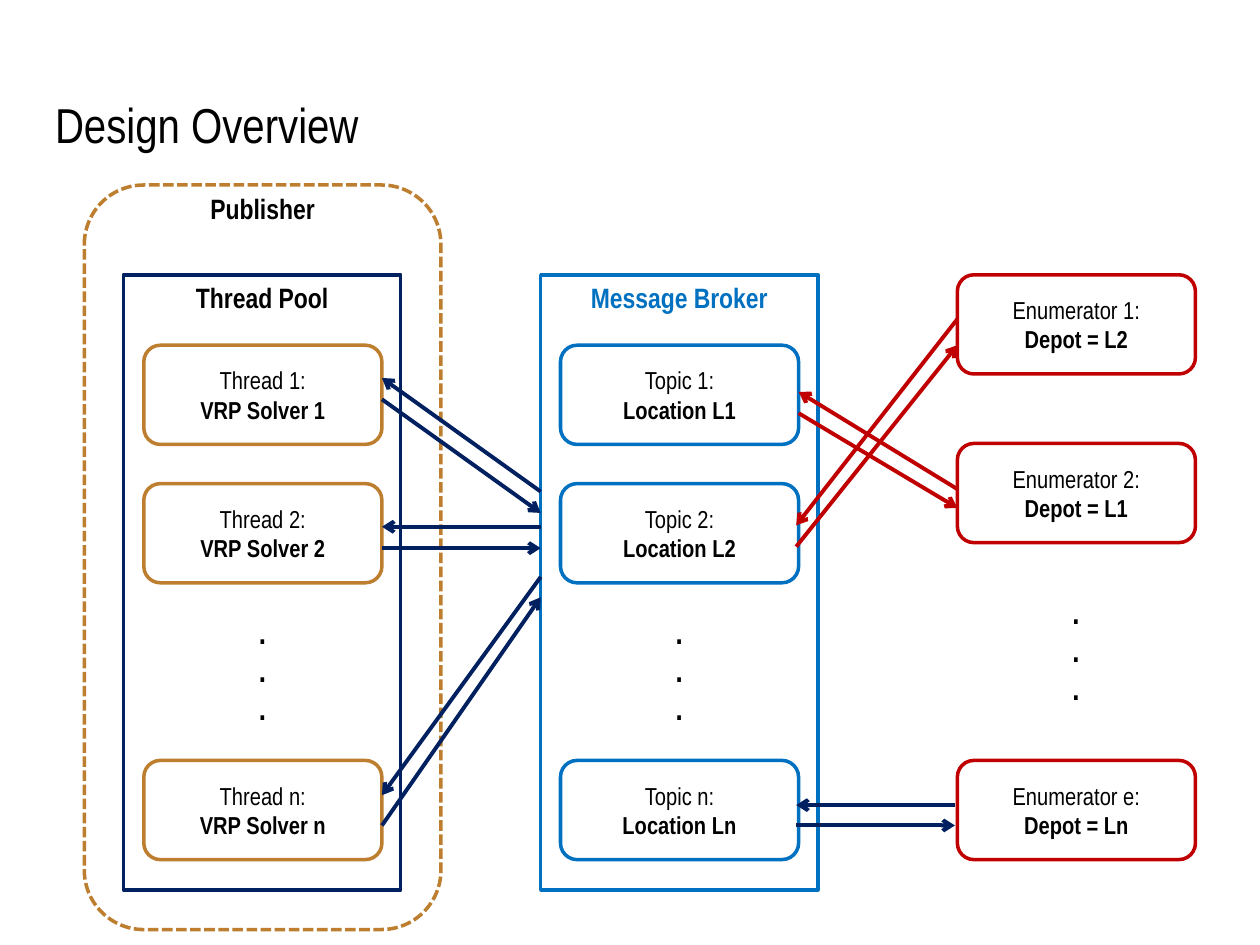
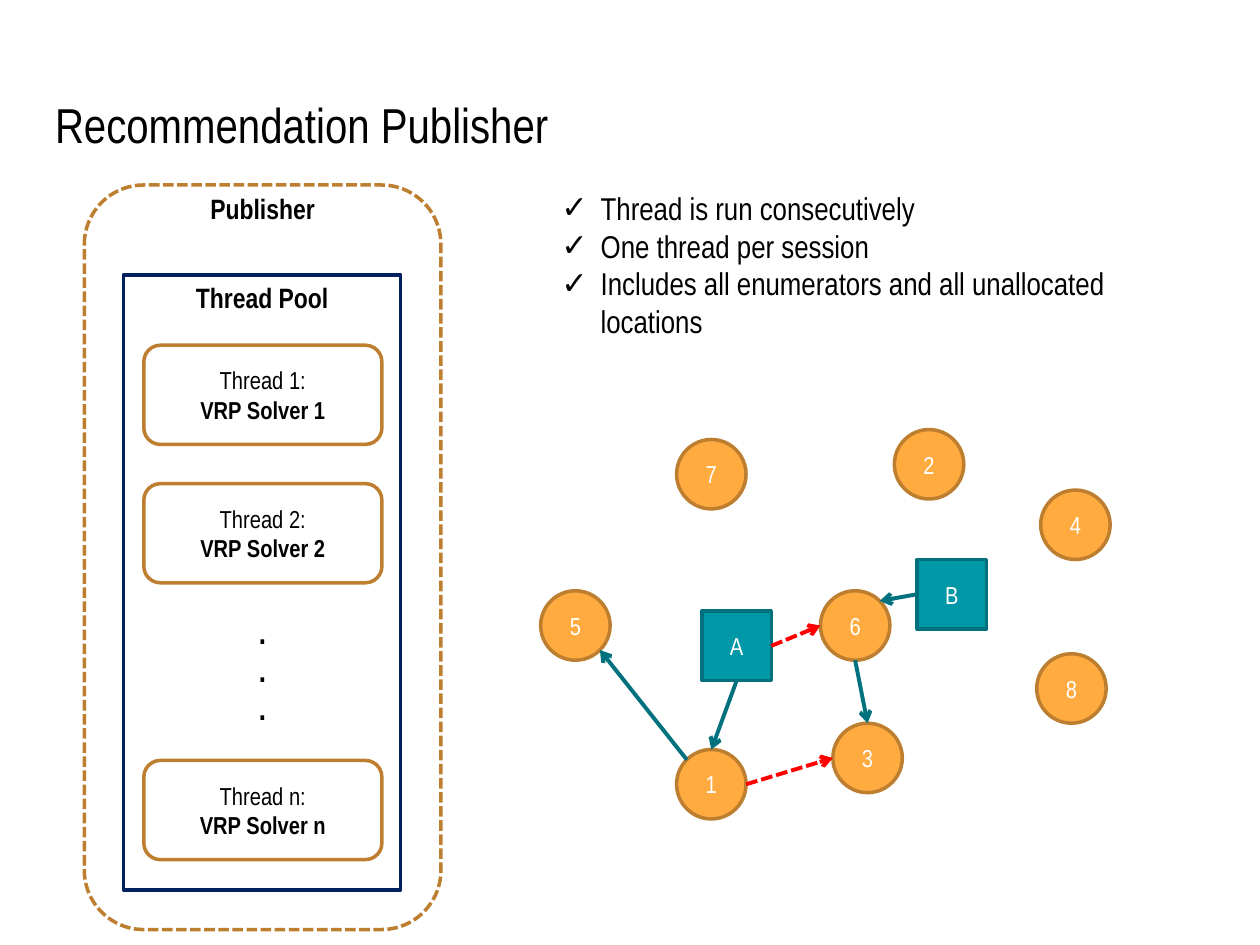
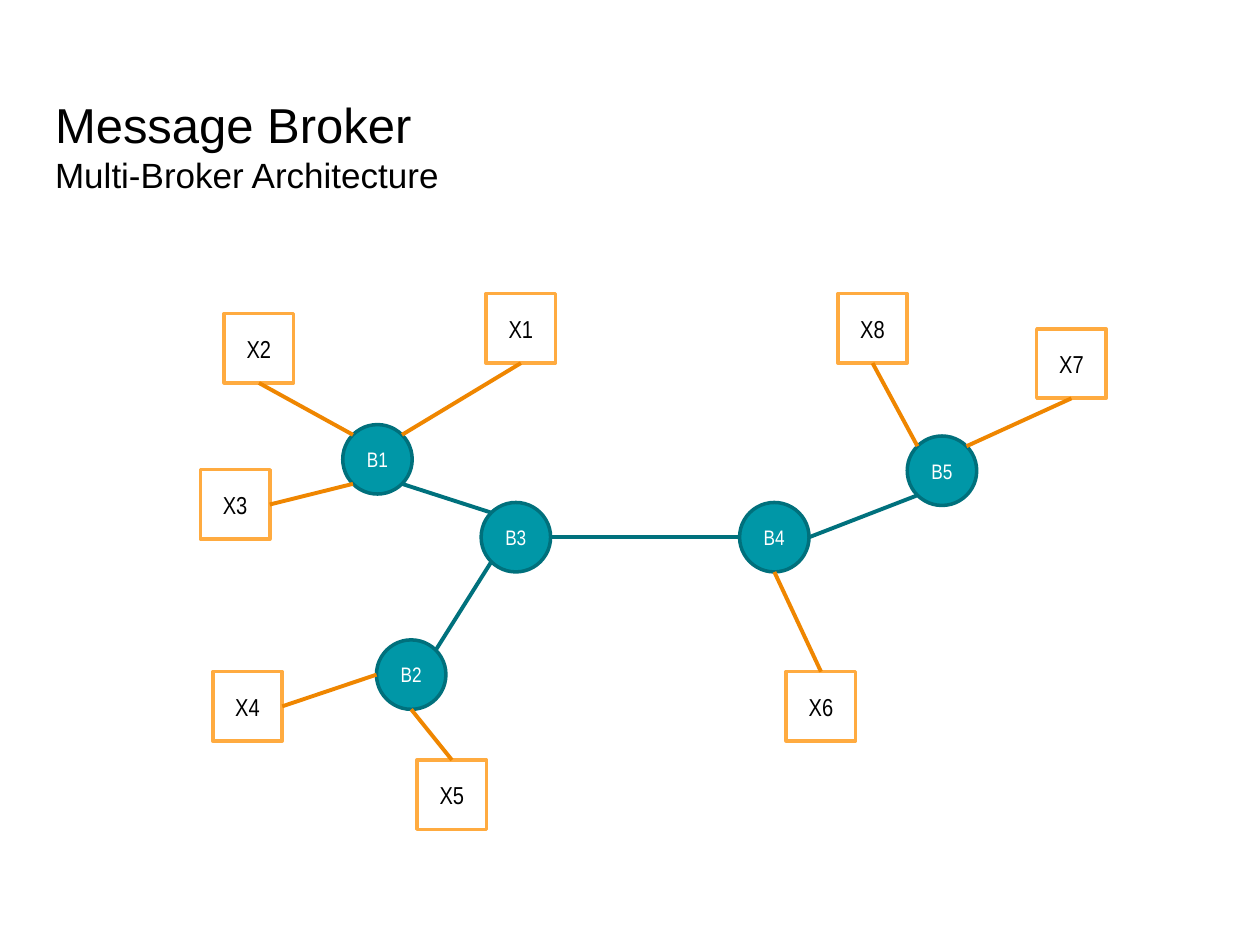
import copy
import math
from dataclasses import dataclass

import lxml.etree
import pptx
import pptx.dml.color
import pptx.enum.dml
import pptx.enum.shapes
import pptx.enum.text
import pptx.oxml.ns
import pptx.slide
import pptx.util

Cm = pptx.util.Cm
Color = pptx.dml.color.RGBColor
Shape = pptx.enum.shapes.MSO_SHAPE
Align = pptx.enum.text.PP_ALIGN
qn = pptx.oxml.ns.qn

BLACK = Color(0x00, 0x00, 0x00)
WHITE = Color(0xFF, 0xFF, 0xFF)
NAVY = Color(0x00, 0x20, 0x60)
BLUE = Color(0x00, 0x70, 0xC0)
CRIMSON = Color(0xC0, 0x00, 0x00)
RED = Color(0xFF, 0x00, 0x00)
BRONZE = Color(0xBD, 0x7F, 0x2F)
AMBER = Color(0xFF, 0xAB, 0x40)
ORANGE = Color(0xEF, 0x86, 0x00)
TEAL = Color(0x00, 0x97, 0xA7)
DARK_TEAL = Color(0x00, 0x70, 0x7C)
LINK_TEAL = Color(0x00, 0x71, 0x7D)

NARROW = "Arial Narrow"
WIDE = "Arial"
FRAME_TOP, FRAME_WIDTH, FRAME_HEIGHT = 5.54, 5.59, 12.4
BOX_WIDTH, BOX_HEIGHT = 4.8, 2.0
BOX_TOP, BOX_PITCH = 6.96, 2.79
COLUMN_TOPS = [BOX_TOP + BOX_PITCH * row for row in (0, 1, 3)]
DOTS_WIDTH, DOTS_HEIGHT = 0.66, 2.57
NODE_SIZE = 1.4
DIAGONAL = math.sqrt(0.5)
SIDES = {
    "top": (0, -1),
    "bottom": (0, 1),
    "left": (-1, 0),
    "right": (1, 0),
    "top left": (-DIAGONAL, -DIAGONAL),
    "top right": (DIAGONAL, -DIAGONAL),
    "bottom left": (-DIAGONAL, DIAGONAL),
    "bottom right": (DIAGONAL, DIAGONAL),
}


@dataclass(frozen=True)
class Area:
    left: float
    top: float
    width: float
    height: float

    def lengths(self) -> list[pptx.util.Length]:
        return [Cm(value) for value in (self.left, self.top, self.width, self.height)]


@dataclass(frozen=True)
class Column:
    left: float
    color: Color
    boxes: list[tuple[str, str]]
    tops: list[float]
    dots_top: float


@dataclass(frozen=True)
class Container:
    area: Area
    color: Color
    heading: str
    heading_color: Color
    heading_width: float
    geometry: Shape = Shape.RECTANGLE
    dashed: bool = False


@dataclass(frozen=True)
class Exchange:
    left: float
    right: float
    reply: tuple[float, float]
    request: tuple[float, float]
    color: Color


@dataclass(frozen=True)
class NodeStyle:
    geometry: Shape
    fill: Color
    line: Color
    text: Color
    size: int


@dataclass(frozen=True)
class Node:
    name: str
    left: float
    top: float
    style: NodeStyle

    def point(self, side: str) -> tuple[float, float]:
        across, down = SIDES[side]
        radius = NODE_SIZE / 2
        return self.left + radius * (1 + across), self.top + radius * (1 + down)


@dataclass(frozen=True)
class Link:
    start: str
    start_side: str
    end: str
    end_side: str
    color: Color = LINK_TEAL
    dashed: bool = False


STOP = NodeStyle(Shape.OVAL, AMBER, BRONZE, WHITE, 14)
DEPOT = NodeStyle(Shape.RECTANGLE, TEAL, DARK_TEAL, WHITE, 14)
BROKER = NodeStyle(Shape.OVAL, TEAL, DARK_TEAL, WHITE, 12)
CLIENT = NodeStyle(Shape.RECTANGLE, WHITE, AMBER, BLACK, 14)

PUBLISHER = Container(Area(1.7, 3.73, 7.19, 15.01), BRONZE, "Publisher", BLACK, 2.64,
                      Shape.ROUNDED_RECTANGLE, True)
THREAD_POOL = Container(Area(2.49, FRAME_TOP, FRAME_WIDTH, FRAME_HEIGHT), NAVY,
                        "Thread Pool", BLACK, 3.2)
MESSAGE_BROKER = Container(Area(10.9, FRAME_TOP, FRAME_WIDTH, FRAME_HEIGHT), BLUE,
                           "Message Broker", BLUE, 4.11)

THREADS = Column(2.9, BRONZE, [(f"Thread {key}:", f"VRP Solver {key}") for key in "12n"],
                 COLUMN_TOPS, 12.24)
TOPICS = Column(11.3, BLUE, [(f"Topic {key}:", f"Location L{key}") for key in "12n"],
                COLUMN_TOPS, 12.24)
ENUMERATORS = Column(19.3, CRIMSON,
                     [(f"Enumerator {key}:", f"Depot = L{depot}")
                      for key, depot in zip("12e", "21n")],
                     [FRAME_TOP, 8.94, COLUMN_TOPS[-1]], 11.84)

EXCHANGES = [
    Exchange(7.7, 10.9, (7.62, 9.91), (8.05, 10.34), NAVY),
    Exchange(7.7, 10.9, (10.62, 10.62), (11.05, 11.05), NAVY),
    Exchange(7.7, 10.9, (16.03, 11.63), (16.64, 12.04), NAVY),
    Exchange(16.1, 19.3, (7.9, 9.86), (8.33, 10.24), CRIMSON),
    Exchange(16.05, 19.3, (10.59, 6.43), (11.02, 6.96), CRIMSON),
    Exchange(16.05, 19.25, (16.23, 16.23), (16.64, 16.64), NAVY),
]

FEATURES = [
    "Thread is run consecutively",
    "One thread per session",
    "Includes all enumerators and all unallocated locations",
]

ROUTE_NODES = [
    Node("A", 14.15, 12.32, DEPOT),
    Node("6", 16.54, 11.91, STOP),
    Node("B", 18.49, 11.28, DEPOT),
    Node("2", 18.03, 8.66, STOP),
    Node("3", 16.79, 14.58, STOP),
    Node("8", 20.9, 13.18, STOP),
    Node("4", 20.98, 9.88, STOP),
    Node("1", 13.64, 15.11, STOP),
    Node("5", 10.9, 11.91, STOP),
    Node("7", 13.64, 8.86, STOP),
]
ROUTE_LINKS = [
    Link("B", "left", "6", "top right"),
    Link("A", "right", "6", "left", RED, True),
    Link("A", "bottom", "1", "top"),
    Link("6", "bottom", "3", "top"),
    Link("1", "right", "3", "left", RED, True),
    Link("1", "top left", "5", "bottom right"),
]

NETWORK_NODES = [
    Node("B2", 7.59, 12.9, BROKER),
    Node("B1", 6.91, 8.56, BROKER),
    Node("B5", 18.29, 8.79, BROKER),
    Node("B4", 14.91, 10.13, BROKER),
    Node("B3", 9.7, 10.13, BROKER),
    Node("X8", 16.89, 5.92, CLIENT),
    Node("X7", 20.9, 6.63, CLIENT),
    Node("X6", 15.85, 13.54, CLIENT),
    Node("X5", 8.41, 15.32, CLIENT),
    Node("X4", 4.29, 13.54, CLIENT),
    Node("X3", 4.04, 9.47, CLIENT),
    Node("X2", 4.52, 6.32, CLIENT),
    Node("X1", 9.8, 5.92, CLIENT),
]
NETWORK_LINKS = [
    Link("B4", "left", "B3", "right"),
    Link("B4", "right", "B5", "bottom left"),
    Link("B3", "top left", "B1", "bottom right"),
    Link("B2", "top right", "B3", "bottom left"),
    Link("X6", "top", "B4", "bottom", ORANGE),
    Link("X7", "bottom", "B5", "top right", ORANGE),
    Link("X8", "bottom", "B5", "top left", ORANGE),
    Link("X1", "bottom", "B1", "top right", ORANGE),
    Link("X2", "bottom", "B1", "top left", ORANGE),
    Link("X3", "right", "B1", "bottom left", ORANGE),
    Link("X4", "right", "B2", "left", ORANGE),
    Link("X5", "top", "B2", "bottom", ORANGE),
]


def format_span(span, size: float, color: Color, bold: bool = False, font: str = NARROW) -> None:
    span.font.name = font
    span.font.size = pptx.util.Pt(size)
    span.font.bold = bold
    span.font.color.rgb = color


def write(frame, text: str, size: float, color: Color, bold: bool = False,
          align: Align = Align.CENTER) -> None:
    frame.text = text
    for para in frame.paragraphs:
        para.alignment = align
        for span in para.runs:
            format_span(span, size, color, bold)


def format_line(line, color: Color, width: float, dashed: bool = False) -> None:
    line.color.rgb = color
    line.width = pptx.util.Pt(width)
    if dashed:
        line.dash_style = pptx.enum.dml.MSO_LINE.SQUARE_DOT


def add_title(page: pptx.slide.Slide, lines: list[str], height: float = 2.11,
              font: str = NARROW) -> None:
    title = page.shapes.title
    title.left, title.top, title.width, title.height = Area(0.86, 1.65, 23.67, height).lengths()
    frame = title.text_frame
    frame.text = "\v".join(lines)
    frame.word_wrap = True
    frame.auto_size = pptx.enum.text.MSO_AUTO_SIZE.NONE
    frame.vertical_anchor = pptx.enum.text.MSO_ANCHOR.TOP
    frame.margin_left = frame.margin_right = Cm(0.25)
    frame.margin_top = frame.margin_bottom = Cm(0.25)
    para = frame.paragraphs[0]
    para.alignment = Align.LEFT
    for span, size in zip(para.runs, (28, 20)):
        format_span(span, size, BLACK, font=font)
    for line_break in para._p.findall(qn("a:br")):
        line_break.append(copy.deepcopy(para.runs[0]._r.rPr))


def add_box(page: pptx.slide.Slide, geometry: Shape, area: Area, line: Color,
            fill: Color | None = None, dashed: bool = False):
    box = page.shapes.add_shape(geometry, *area.lengths())
    box.shadow.inherit = False
    if fill is None:
        box.fill.background()
    else:
        box.fill.solid()
        box.fill.fore_color.rgb = fill
    format_line(box.line, line, 2, dashed)
    box.text_frame.vertical_anchor = pptx.enum.text.MSO_ANCHOR.MIDDLE
    return box


def add_label(page: pptx.slide.Slide, area: Area, text: str, size: float, color: Color,
              bold: bool = True, align: Align = Align.CENTER, wrap: bool = False):
    label = page.shapes.add_textbox(*area.lengths())
    frame = label.text_frame
    frame.word_wrap = wrap
    write(frame, text, size, color, bold, align)
    return frame


def add_container(page: pptx.slide.Slide, container: Container) -> None:
    area = container.area
    add_box(page, container.geometry, area, container.color, dashed=container.dashed)
    left = area.left + (area.width - container.heading_width) / 2
    add_label(page, Area(left, area.top, container.heading_width, 0.94),
              container.heading, 16, container.heading_color)


def add_column(page: pptx.slide.Slide, column: Column) -> None:
    for lines, top in zip(column.boxes, column.tops):
        area = Area(column.left, top, BOX_WIDTH, BOX_HEIGHT)
        frame = add_box(page, Shape.ROUNDED_RECTANGLE, area, column.color).text_frame
        write(frame, "\n".join(lines), 14, BLACK)
        frame.paragraphs[1].runs[0].font.bold = True
    dots_left = column.left + (BOX_WIDTH - DOTS_WIDTH) / 2
    add_label(page, Area(dots_left, column.dots_top, DOTS_WIDTH, DOTS_HEIGHT),
              "\n".join("..."), 18, BLACK, align=Align.LEFT)


def add_line(page: pptx.slide.Slide, start: tuple[float, float], end: tuple[float, float],
             color: Color, arrow_end: str | None = None, dashed: bool = False) -> None:
    connector = page.shapes.add_connector(
        pptx.enum.shapes.MSO_CONNECTOR.STRAIGHT, *(Cm(value) for value in start + end))
    format_line(connector.line, color, 2.25, dashed)
    properties = connector._element.spPr
    if arrow_end:
        lxml.etree.SubElement(properties.find(qn("a:ln")), qn(f"a:{arrow_end}"), type="arrow")
    lxml.etree.SubElement(properties, qn("a:effectLst"))


def add_exchange(page: pptx.slide.Slide, exchange: Exchange) -> None:
    for heights, arrow_end in ((exchange.reply, "headEnd"), (exchange.request, "tailEnd")):
        add_line(page, (exchange.left, heights[0]), (exchange.right, heights[1]),
                 exchange.color, arrow_end)


def add_graph(page: pptx.slide.Slide, nodes: list[Node], links: list[Link],
              arrow_end: str | None = None) -> None:
    for node in nodes:
        style = node.style
        area = Area(node.left, node.top, NODE_SIZE, NODE_SIZE)
        box = add_box(page, style.geometry, area, style.line, style.fill)
        write(box.text_frame, node.name, style.size, style.text)
    by_name = {node.name: node for node in nodes}
    for link in links:
        add_line(page, by_name[link.start].point(link.start_side),
                 by_name[link.end].point(link.end_side), link.color, arrow_end, link.dashed)


def add_checklist(page: pptx.slide.Slide, area: Area, items: list[str]) -> None:
    frame = add_label(page, area, "\n".join(items), 18, BLACK, False, Align.LEFT, True)
    for para in frame.paragraphs:
        properties = para._p.get_or_add_pPr()
        properties.set("marL", str(Cm(0.79)))
        properties.set("indent", str(Cm(-0.79)))
        lxml.etree.SubElement(properties, qn("a:buFont"), typeface=WIDE)
        lxml.etree.SubElement(properties, qn("a:buChar"), char="✓")


def add_publisher(page: pptx.slide.Slide) -> None:
    add_container(page, PUBLISHER)
    add_container(page, THREAD_POOL)
    add_column(page, THREADS)


def build_overview(page: pptx.slide.Slide) -> None:
    add_title(page, ["Design Overview"])
    add_publisher(page)
    add_container(page, MESSAGE_BROKER)
    add_column(page, TOPICS)
    add_column(page, ENUMERATORS)
    for exchange in EXCHANGES:
        add_exchange(page, exchange)


def build_publisher(page: pptx.slide.Slide) -> None:
    add_title(page, ["Recommendation Publisher"])
    add_publisher(page)
    add_checklist(page, Area(11.07, 3.68, 13.03, 3.33), FEATURES)
    add_graph(page, ROUTE_NODES, ROUTE_LINKS, "tailEnd")


def build_brokers(page: pptx.slide.Slide) -> None:
    add_title(page, ["Message Broker", "Multi-Broker Architecture"], 2.46, WIDE)
    add_graph(page, NETWORK_NODES, NETWORK_LINKS)


def main() -> None:
    deck = pptx.Presentation()
    deck.slide_width, deck.slide_height = Cm(25.4), Cm(19.05)
    title_only = deck.slide_layouts.get_by_name("Title Only")
    for build in (build_overview, build_publisher, build_brokers):
        build(deck.slides.add_slide(title_only))
    deck.save("out.pptx")


if __name__ == "__main__":
    main()
